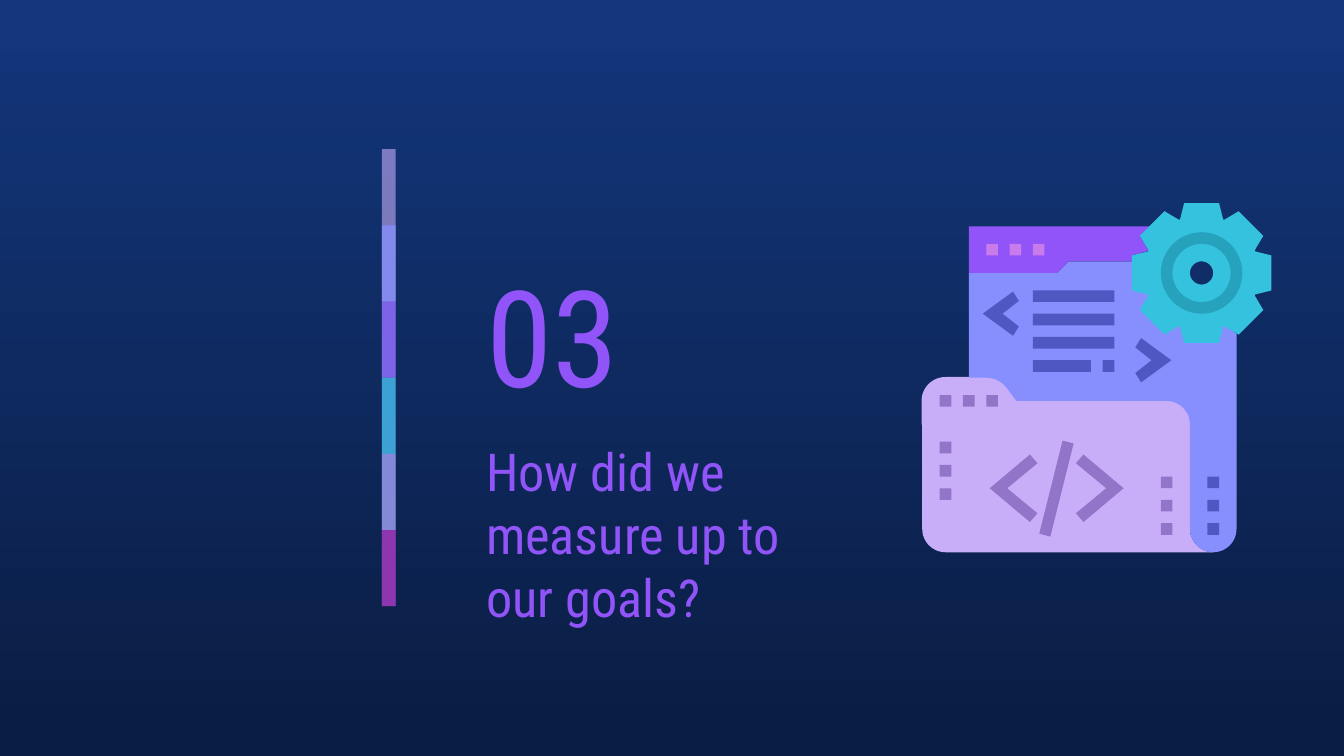
"""Build the section slide that opens part 03 with a code folder illustration."""
from dataclasses import dataclass
from math import cos, pi, sin

from lxml import etree
from pptx import Presentation
from pptx.dml.color import RGBColor
from pptx.enum.shapes import MSO_SHAPE
from pptx.enum.text import MSO_ANCHOR, PP_ALIGN
from pptx.oxml.ns import qn
from pptx.util import Cm, Pt

RECTANGLE, DONUT = MSO_SHAPE.RECTANGLE, MSO_SHAPE.DONUT
MIDDLE, LEFT = MSO_ANCHOR.MIDDLE, PP_ALIGN.LEFT


@dataclass(frozen=True)
class Theme:
    font: str = "Roboto Condensed"
    number_size: int = 72
    title_size: int = 28
    sky: str = "13367C"
    night: str = "0A1D42"
    violet: str = "9154F8"
    lilac: str = "C8AEF8"
    periwinkle: str = "878FFF"
    indigo: str = "4F57C3"
    plum: str = "9275C8"
    orchid: str = "CA7BEB"
    magenta: str = "972CB4"
    cyan: str = "35C2DF"
    teal: str = "26A2BC"


THEME = Theme()

TEXTS = [
    ("03", (8.94, 4.6, 4.44, 3.43), THEME.number_size),
    ("How did we measure up to our goals?", (8.94, 8.03, 7.29, 4.11), THEME.title_size),
]

BAR_LEFT, BAR_TOP, BAR_WIDTH, BAR_PITCH = 7.22, 2.82, 0.26, 1.44
BARS = [
    (THEME.lilac, 59), (THEME.periwinkle, 74), (THEME.violet, 53),
    (THEME.cyan, 76), (THEME.orchid, 56), (THEME.magenta, 74),
]

ICON_LEFT, ICON_TOP, UNIT = 17.43, 3.84, 0.22
GEAR_CENTER = (24, 6)
TOOTH = [(-1.85, -4.6), (-1.5, -6), (1.5, -6), (1.85, -4.6)]
TOOTH_COUNT = 8
DISC_RADIUS, DISC_HOLE = 3, 1
RING_RADIUS, RING_HOLE = 3.5, 2.5

FOLDER_FRONT = [
    (0, 19), (0, 28), (0, 29.1, 0.9, 30, 2, 30), (25, 30),
    (23.9, 30, 23, 29.1, 23, 28), (23, 19),
]
FOLDER_TAB = [
    (2, 15), (0.9, 15, 0, 15.9, 0, 17), (0, 19), (23, 19),
    (23, 17.9, 22.1, 17, 21, 17), (8.1, 17), (7.2, 15.8), (6.8, 15.3, 6.1, 15, 5.5, 15),
]
PAGE = [
    (12.6, 5), (11.6, 6), (4, 6), (4, 15), (5.5, 15), (6.1, 15, 6.8, 15.3, 7.2, 15.8),
    (8.1, 17), (21, 17), (22.1, 17, 23, 17.9, 23, 19), (23, 28),
    (23, 29.1, 23.9, 30, 25, 30), (26.1, 30, 27, 29.1, 27, 28),
    (27, 11.2), (26.1, 10.6), (22, 9), (20.5, 6), (18, 5),
]
PAGE_HEADER = [
    (4, 2), (4, 6), (11.6, 6), (12.6, 5), (18, 5), (18, 4.5), (19.45, 4.1),
    (18.7, 2.85), (19.5, 2),
]
SLASH = [(12.05, 20.4), (10.05, 28.4), (11, 28.65), (13, 20.65)]

SMALL_CHEVRON = [(2.6, -1.9), (0, 0), (2.6, 1.9), (3.1, 1.1), (1.7, 0), (3.1, -1.1)]
LARGE_CHEVRON = [(3.45, -2.9), (0, 0), (3.45, 2.9), (4.1, 2.15), (1.5, 0), (4.1, -2.15)]
CHEVRONS = [
    (SMALL_CHEVRON, (5.2, 9.5), 1, THEME.indigo),
    (SMALL_CHEVRON, (21.4, 13.5), -1, THEME.indigo),
    (LARGE_CHEVRON, (5.8, 24.5), 1, THEME.plum),
    (LARGE_CHEVRON, (17.3, 24.5), -1, THEME.plum),
]

DOT_PITCH = 2
DOT_ROWS = [
    ((5.5, 3.5), (1, 0), THEME.orchid),
    ((1.5, 16.5), (1, 0), THEME.plum),
    ((1.5, 20.5), (0, 1), THEME.plum),
    ((20.5, 23.5), (0, 1), THEME.plum),
    ((24.5, 23.5), (0, 1), THEME.indigo),
]
CODE_LINES = [(9.5, 7.5, 7), (9.5, 9.5, 7), (9.5, 11.5, 7), (9.5, 13.5, 5), (15.5, 13.5, 1)]


def color(value):
    return RGBColor.from_string(value)


def paint(shape, fill, alpha=None, line=None):
    shape.shadow.inherit = False
    shape.fill.solid()
    shape.fill.fore_color.rgb = color(fill)
    if alpha is not None:
        tint = shape.fill._xPr.find(".//" + qn("a:srgbClr"))
        etree.SubElement(tint, qn("a:alpha")).set("val", str(alpha * 1000))
    if line:
        shape.line.color.rgb = color(line)
        shape.line.width = Pt(0.75)
    else:
        shape.line.fill.background()


def place(x, y):
    return Cm(ICON_LEFT + x * UNIT), Cm(ICON_TOP + y * UNIT)


def flatten(outline, steps=12):
    points = []
    for node in outline:
        if len(node) == 2:
            points.append(node)
            continue
        curve = (*points[-1], *node)
        for step in range(1, steps + 1):
            t = step / steps
            weights = ((1 - t) ** 3, 3 * t * (1 - t) ** 2, 3 * t * t * (1 - t), t ** 3)
            points.append(tuple(
                sum(weight * value for weight, value in zip(weights, curve[axis::2]))
                for axis in (0, 1)))
    return points


def add_outline(shapes, contours, fill, line=None):
    builder = None
    for contour in contours:
        points = [place(x, y) for x, y in flatten(contour)]
        if builder is None:
            builder = shapes.build_freeform(*points[0])
        else:
            builder.move_to(*points[0])
        builder.add_line_segments(points[1:], close=True)
    paint(builder.convert_to_shape(), fill, line=line)


def add_block(shapes, x, y, width, fill):
    paint(shapes.add_shape(RECTANGLE, *place(x, y), Cm(width * UNIT), Cm(UNIT)), fill)


def add_donut(shapes, radius, hole, fill):
    x, y = GEAR_CENTER
    size = Cm(2 * radius * UNIT)
    shape = shapes.add_shape(DONUT, *place(x - radius, y - radius), size, size)
    shape.adjustments[0] = (radius - hole) / (2 * radius)
    paint(shape, fill)


def turn(point, angle):
    x, y = point
    return (GEAR_CENTER[0] + x * cos(angle) - y * sin(angle),
            GEAR_CENTER[1] + x * sin(angle) + y * cos(angle))


def add_text(slide, text, box, size, fill=THEME.violet, font=THEME.font):
    frame = slide.shapes.add_textbox(*map(Cm, box)).text_frame
    frame.word_wrap = True
    frame.vertical_anchor = MIDDLE
    frame.margin_left = frame.margin_right = frame.margin_top = frame.margin_bottom = Cm(0.25)
    paragraph = frame.paragraphs[0]
    paragraph.alignment = LEFT
    run = paragraph.add_run()
    run.text = text
    run.font.name, run.font.size = font, Pt(size)
    run.font.color.rgb = color(fill)


def add_bars(shapes):
    for index, (fill, alpha) in enumerate(BARS):
        height = BAR_PITCH * min(2, len(BARS) - index)
        top = BAR_TOP + index * BAR_PITCH
        bar = shapes.add_shape(RECTANGLE, Cm(BAR_LEFT), Cm(top), Cm(BAR_WIDTH), Cm(height))
        paint(bar, fill, alpha=alpha)


def add_illustration(shapes):
    add_outline(shapes, [FOLDER_FRONT], THEME.lilac)
    add_outline(shapes, [FOLDER_TAB], THEME.lilac, line=THEME.lilac)
    add_outline(shapes, [PAGE], THEME.periwinkle)
    add_outline(shapes, [PAGE_HEADER], THEME.violet)
    add_donut(shapes, DISC_RADIUS, DISC_HOLE, THEME.cyan)
    teeth = [turn(point, 2 * pi * index / TOOTH_COUNT)
             for index in range(TOOTH_COUNT) for point in TOOTH]
    opening = [turn((0, DISC_RADIUS), -2 * pi * index / 48) for index in range(48)]
    add_outline(shapes, [teeth, opening], THEME.cyan)
    add_donut(shapes, RING_RADIUS, RING_HOLE, THEME.teal)
    for (x, y), (across, down), fill in DOT_ROWS:
        for index in range(3):
            shift = index * DOT_PITCH
            add_block(shapes, x + across * shift, y + down * shift, 1, fill)
    for x, y, width in CODE_LINES:
        add_block(shapes, x, y, width, THEME.indigo)
    for chevron, (x, y), side, fill in CHEVRONS:
        add_outline(shapes, [[(x + side * dx, y + dy) for dx, dy in chevron]], fill)
    add_outline(shapes, [SLASH], THEME.plum)


def main():
    presentation = Presentation()
    presentation.slide_width, presentation.slide_height = Cm(25.4), Cm(14.29)
    slide = presentation.slides.add_slide(presentation.slide_layouts[6])
    background = slide.background.fill
    background.gradient()
    background.gradient_angle = 270
    for stop, value in zip(background.gradient_stops, (THEME.sky, THEME.night)):
        stop.color.rgb = color(value)
    add_bars(slide.shapes.add_group_shape().shapes)
    for text, box, size in TEXTS:
        add_text(slide, text, box, size)
    add_illustration(slide.shapes.add_group_shape().shapes)
    presentation.save("out.pptx")


if __name__ == "__main__":
    main()
